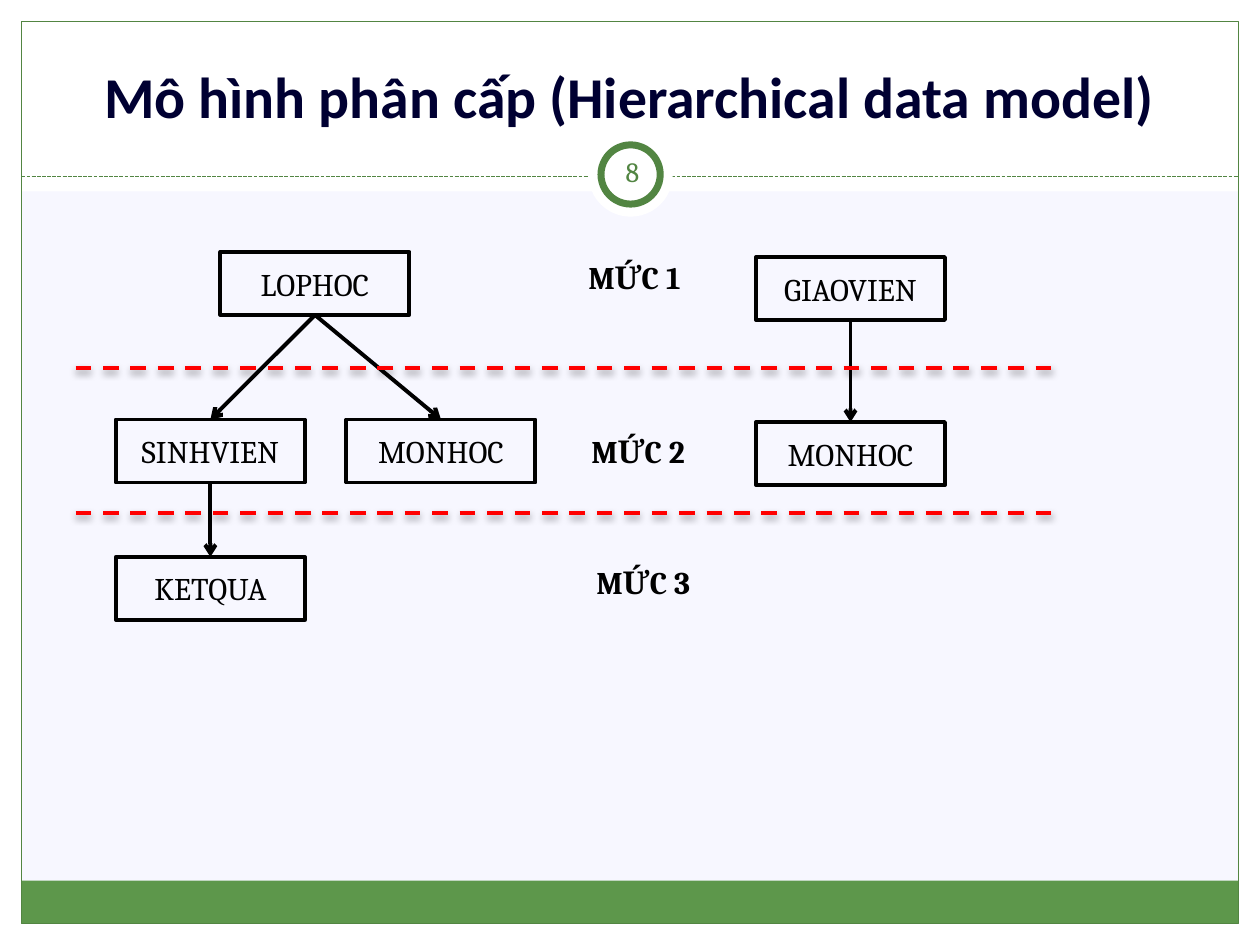
from lxml.etree import SubElement
from pptx import Presentation
from pptx.dml.color import RGBColor
from pptx.enum.dml import MSO_LINE_DASH_STYLE as Dash
from pptx.enum.shapes import MSO_CONNECTOR as Connector, MSO_SHAPE as Shape
from pptx.enum.text import MSO_ANCHOR as Anchor, MSO_AUTO_SIZE as AutoSize, PP_ALIGN as Align
from pptx.oxml.ns import qn
from pptx.util import Inches, Pt

WHITE = RGBColor(0xFF, 0xFF, 0xFF)
BLACK = RGBColor(0, 0, 0)
RED = RGBColor(0xFF, 0, 0)
NAVY = RGBColor(0, 0, 0x32)
GREEN = RGBColor(0x5D, 0x97, 0x4B)
DARK_GREEN = RGBColor(0x52, 0x85, 0x42)
PALE_BLUE = RGBColor(0xF7, 0xF7, 0xFF)

NODE_WIDTH, NODE_HEIGHT = 1.5, 0.5
BOTTOM, TOP = 2, 0


def write(frame, text, size, color, font="Cambria", bold=False, anchor=Anchor.MIDDLE):
    frame.text = text
    frame.vertical_anchor = anchor
    line = frame.paragraphs[0]
    line.alignment = Align.CENTER
    run_font = line.runs[0].font
    run_font.name, run_font.size, run_font.bold = font, Pt(size), bold
    run_font.color.rgb = color


def add_panel(slide, kind, box, fill=None, line=None, weight=0.75):
    panel = slide.shapes.add_shape(kind, *map(Inches, box))
    panel.shadow.inherit = False
    if fill is None:
        panel.fill.background()
    else:
        panel.fill.solid()
        panel.fill.fore_color.rgb = fill
    if line is None:
        panel.line.fill.background()
    else:
        panel.line.color.rgb = line
        panel.line.width = Pt(weight)
    return panel


def add_line(slide, start, end, color, weight=2.25, dash=None, arrow=False, shadow=False):
    link = slide.shapes.add_connector(Connector.STRAIGHT, *map(Inches, (*start, *end)))
    link.line.color.rgb = color
    link.line.width = Pt(weight)
    if dash is not None:
        link.line.dash_style = dash
    properties = link._element.spPr
    if arrow:
        SubElement(properties.find(qn("a:ln")), qn("a:tailEnd"), type="arrow")
    effects = SubElement(properties, qn("a:effectLst"))
    if shadow:
        outer = SubElement(effects, qn("a:outerShdw"), blurRad=str(Pt(4)), dist=str(Pt(2)),
                           dir="5400000", rotWithShape="0")
        shade = SubElement(outer, qn("a:srgbClr"), val=str(BLACK))
        SubElement(shade, qn("a:alpha"), val="35000")
    return link


def draw_frame(slide, width, height):
    margin = 0.17
    inner_width = width - 2 * margin
    for box in ((0, height - margin, width, margin), (0, 0, width, 1.52),
                (0, 0, margin, height), (width - margin, 0, margin, height)):
        add_panel(slide, Shape.RECTANGLE, box, WHITE)
    add_panel(slide, Shape.RECTANGLE, (margin, 6.99, inner_width, 0.34), GREEN)
    add_panel(slide, Shape.RECTANGLE, (margin, margin, inner_width, height - 2 * margin),
              line=DARK_GREEN)
    add_line(slide, (margin, 1.4), (width - margin, 1.4), DARK_GREEN, 0.75, Dash.SQUARE_DOT)


def draw_title(slide, left, top, width, height):
    title = slide.shapes.title
    title.left, title.top, title.width, title.height = map(Inches, (left, top, width, height))
    frame = title.text_frame
    write(frame, "Mô hình phân cấp (Hierarchical data model)", 33, NAVY, "Calibri", True,
          Anchor.BOTTOM)
    frame.word_wrap = True
    frame.auto_size = AutoSize.NONE


def draw_page_badge(slide, left, top, size):
    ring = 0.1
    add_panel(slide, Shape.OVAL, (left, top, size, size), WHITE)
    add_panel(slide, Shape.OVAL, (left + ring, top + ring, size - 2 * ring, size - 2 * ring),
              WHITE, DARK_GREEN, 4)
    number = slide.shapes.add_textbox(
        *map(Inches, (left + ring, top + 0.07, 0.5, 0.48))).text_frame
    number.word_wrap = True
    number.margin_left = number.margin_right = Inches(0.05)
    number.margin_top = number.margin_bottom = Inches(0.05)
    write(number, "8", 16, DARK_GREEN)


def draw_hierarchy(slide, left, top, records, links):
    nodes, spots = {}, {}
    for name, (across, down) in records.items():
        x, y = left + across, top + down
        node = add_panel(slide, Shape.RECTANGLE, (x, y, NODE_WIDTH, NODE_HEIGHT),
                         line=BLACK, weight=2.25)
        write(node.text_frame, name, 18, BLACK)
        nodes[name], spots[name] = node, (x + NODE_WIDTH / 2, y)
    for parent, child in links:
        x, y = spots[parent]
        arrow = add_line(slide, (x, y + NODE_HEIGHT), spots[child], BLACK, arrow=True)
        arrow.begin_connect(nodes[parent], BOTTOM)
        arrow.end_connect(nodes[child], TOP)


def draw_levels(slide, left, top, width):
    for level, (x, y) in enumerate(((3.95, 0), (3.98, 1.38), (4.02, 2.42)), start=1):
        label = slide.shapes.add_textbox(
            *map(Inches, (left + x, top + y, 0.97, 0.4))).text_frame
        write(label, f"MỨC {level}", 18, BLACK, bold=True, anchor=Anchor.TOP)
        label.word_wrap = False
        label.auto_size = AutoSize.SHAPE_TO_FIT_TEXT
    for y in (0.92, 2.07):
        add_line(slide, (left, top + y), (left + width, top + y), RED, dash=Dash.DASH,
                 shadow=True)


def main():
    deck = Presentation()
    deck.slide_width, deck.slide_height = Inches(10), Inches(7.5)
    slide = deck.slides.add_slide(deck.slide_layouts[5])
    slide.background.fill.solid()
    slide.background.fill.fore_color.rgb = PALE_BLUE

    draw_frame(slide, 10, 7.5)
    title = slide.shapes.title._element
    title.getparent().append(title)
    draw_title(slide, 0.33, 0.25, 9.33, 0.83)
    draw_page_badge(slide, 4.67, 1.05, 0.67)
    draw_hierarchy(
        slide, 0.92, 2,
        {"LOPHOC": (0.83, 0), "SINHVIEN": (0, 1.33), "MONHOC": (1.83, 1.33),
         "KETQUA": (0, 2.42)},
        (("LOPHOC", "SINHVIEN"), ("LOPHOC", "MONHOC"), ("SINHVIEN", "KETQUA")))
    draw_hierarchy(slide, 6, 2.04, {"GIAOVIEN": (0, 0), "MONHOC": (0, 1.31)},
                   (("GIAOVIEN", "MONHOC"),))
    draw_levels(slide, 0.6, 2, 7.75)
    deck.save("out.pptx")


if __name__ == "__main__":
    main()
